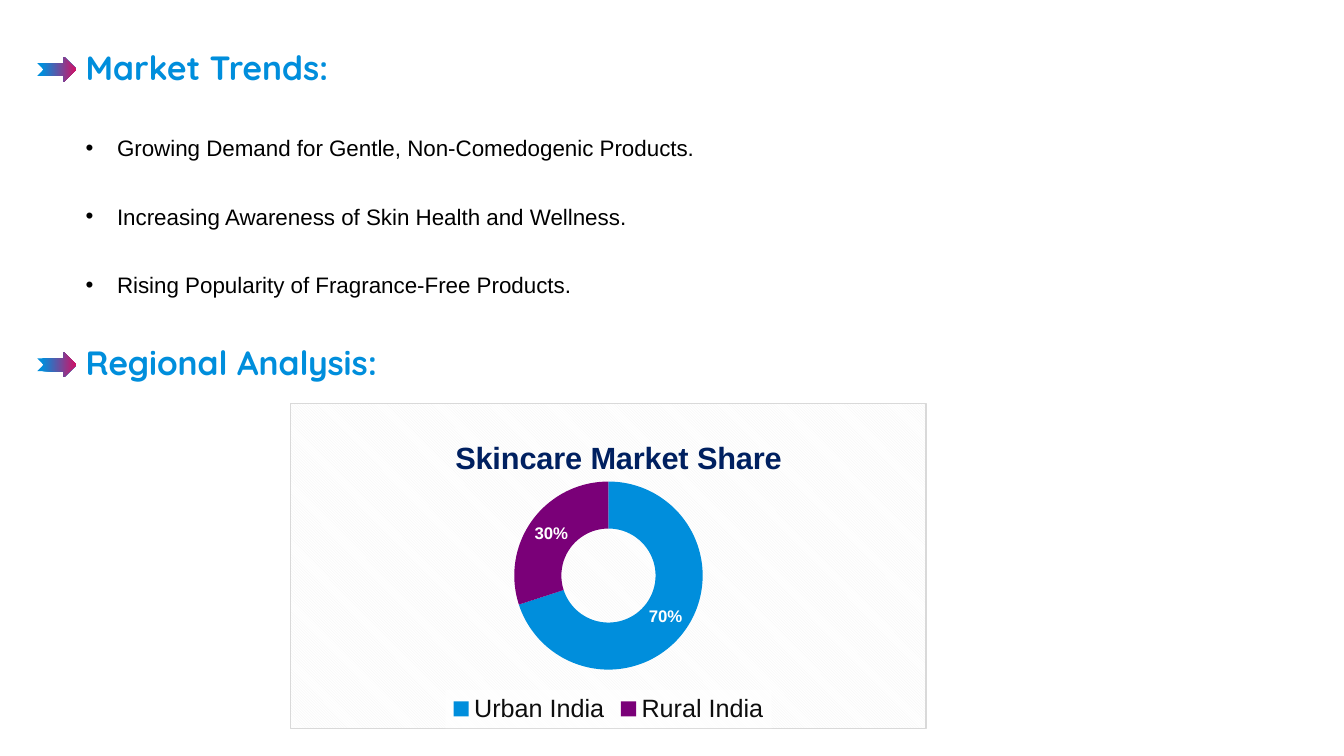
from dataclasses import dataclass

from lxml import etree
from pptx import Presentation
from pptx.chart.data import CategoryChartData
from pptx.dml.color import RGBColor
from pptx.enum.chart import XL_CHART_TYPE, XL_LEGEND_POSITION
from pptx.enum.shapes import MSO_SHAPE
from pptx.enum.text import MSO_ANCHOR
from pptx.oxml import parse_xml
from pptx.oxml.ns import nsdecls, qn
from pptx.util import Cm, Pt


@dataclass(frozen=True)
class Theme:
    """Colours, fonts and type sizes of the slide."""
    blue: str = "008EDC"
    pink: str = "D30F64"
    purple: str = "7A0078"
    navy: str = "002060"
    ink: str = "000000"
    legend_ink: str = "0D0D0D"
    white: str = "FFFFFF"
    hatch: str = "F2F2F2"
    border: str = "D9D9D9"
    heading_font: str = "Quicksand"
    body_font: str = "Arial"
    heading_size: int = 24
    body_size: int = 16
    chart_title_size: int = 22
    legend_size: int = 18
    label_size: int = 12


THEME = Theme()


@dataclass(frozen=True)
class Box:
    """A rectangle in centimetres."""
    left: float
    top: float
    width: float
    height: float

    def lengths(self):
        """Return the four sides as slide lengths."""
        return Cm(self.left), Cm(self.top), Cm(self.width), Cm(self.height)


def style_font(font, name, size, colour=None, bold=False):
    """Set the face, size, weight and optional solid colour of a font."""
    font.name, font.size, font.bold = name, Pt(size), bold
    if colour:
        font.color.rgb = RGBColor.from_string(colour)


def fill_gradient(fill, start=0.0):
    """Fill from blue on the left to pink on the right."""
    fill.gradient()
    fill.gradient_angle = 0
    for stop, colour, position in zip(fill.gradient_stops, (THEME.blue, THEME.pink), (start, 1.0)):
        stop.color.rgb = RGBColor.from_string(colour)
        stop.position = position


def add_heading(slide, box, wording):
    """Place a section heading with its arrow at the left of the box."""
    arrow_box = Box(box.left, box.top + 0.72, 0.99, 0.64)
    arrow = slide.shapes.add_shape(MSO_SHAPE.NOTCHED_RIGHT_ARROW, *arrow_box.lengths())
    arrow.shadow.inherit = False
    fill_gradient(arrow.fill, 0.12)
    arrow.line.fill.background()

    heading_box = Box(box.left + 0.97, box.top, box.width - 0.97, box.height)
    frame = slide.shapes.add_textbox(*heading_box.lengths()).text_frame
    frame.word_wrap = True
    frame.vertical_anchor = MSO_ANCHOR.MIDDLE
    paragraph = frame.paragraphs[0]
    paragraph.line_spacing = 0.9
    run = paragraph.add_run()
    run.text = wording
    style_font(run.font, THEME.heading_font, THEME.heading_size, bold=True)
    fill_gradient(run.font.fill)


def add_trends(slide, box, trends):
    """List the trends as evenly spaced bullets resting on the foot of the box."""
    frame = slide.shapes.add_textbox(*box.lengths()).text_frame
    frame.word_wrap = True
    frame.vertical_anchor = MSO_ANCHOR.BOTTOM
    for index, trend in enumerate(trends):
        paragraph = frame.paragraphs[0] if index == 0 else frame.add_paragraph()
        paragraph.space_before = Pt(29.5 if index else 0)
        properties = paragraph._p.get_or_add_pPr()
        properties.set("marL", str(Cm(0.79)))
        properties.set("indent", str(Cm(-0.79)))
        etree.SubElement(properties, qn("a:buFont")).set("typeface", THEME.body_font)
        etree.SubElement(properties, qn("a:buChar")).set("char", "•")
        run = paragraph.add_run()
        run.text = trend
        style_font(run.font, THEME.body_font, THEME.body_size, THEME.ink)


def manual_layout(target="", **fractions):
    """Build a chart layout from fractions of the chart's size."""
    inner = f'<c:layoutTarget val="{target}"/>' if target else ""
    modes = "".join(f'<c:{side}Mode val="edge"/>' for side in "xy")
    sizes = "".join(f'<c:{key} val="{value}"/>' for key, value in fractions.items())
    return parse_xml(f'<c:layout {nsdecls("c")}><c:manualLayout>{inner}{modes}{sizes}'
                     "</c:manualLayout></c:layout>")


def set_layout(parent, layout, position):
    """Give a chart part its layout in place of any earlier one."""
    for earlier in parent.findall(qn("c:layout")):
        parent.remove(earlier)
    parent.insert(position, layout)


def style_background(chart):
    """Give the chart a hatched ground, a thin border and a white legend."""
    space = chart._chartSpace
    space.find(qn("c:chart")).addnext(parse_xml(
        f'<c:spPr {nsdecls("c", "a")}><a:pattFill prst="dkDnDiag">'
        f'<a:fgClr><a:srgbClr val="{THEME.hatch}"/></a:fgClr>'
        f'<a:bgClr><a:srgbClr val="{THEME.white}"/></a:bgClr></a:pattFill>'
        f'<a:ln w="{Pt(0.75)}"><a:solidFill><a:srgbClr val="{THEME.border}"/>'
        "</a:solidFill></a:ln></c:spPr>"))
    space.find(".//" + qn("c:legend")).find(qn("c:overlay")).addnext(parse_xml(
        f'<c:spPr {nsdecls("c", "a")}><a:solidFill><a:srgbClr val="{THEME.white}">'
        '<a:alpha val="78000"/></a:srgbClr></a:solidFill></c:spPr>'))


def add_market_share(slide, box, title, shares):
    """Draw the market shares as a doughnut filling the box."""
    data = CategoryChartData()
    data.categories = list(shares)
    data.add_series(title, list(shares.values()))
    chart = slide.shapes.add_chart(XL_CHART_TYPE.DOUGHNUT, *box.lengths(), data).chart
    style_font(chart.font, THEME.body_font, 10, THEME.ink)

    chart.has_title = True
    run = chart.chart_title.text_frame.paragraphs[0].add_run()
    run.text = title
    style_font(run.font, THEME.body_font, THEME.chart_title_size, THEME.navy, True)

    chart.has_legend = True
    chart.legend.position = XL_LEGEND_POSITION.BOTTOM
    chart.legend.include_in_layout = False
    style_font(chart.legend.font, THEME.body_font, THEME.legend_size, THEME.legend_ink)

    plot = chart.plots[0]
    plot.vary_by_categories = True
    plot.has_data_labels = True
    labels = plot.data_labels
    labels.show_percentage, labels.show_value = True, False
    labels.number_format, labels.number_format_is_linked = "0%", False
    style_font(labels.font, THEME.body_font, THEME.label_size, THEME.white, True)
    for index, colour in enumerate((THEME.blue, THEME.purple)):
        fill = plot.series[0].points[index].format.fill
        fill.solid()
        fill.fore_color.rgb = RGBColor.from_string(colour)

    space = chart._chartSpace
    space.find(".//" + qn("c:holeSize")).set("val", "70")
    set_layout(space.find(".//" + qn("c:title")), manual_layout(x=0.25, y=0.09), 1)
    set_layout(space.find(".//" + qn("c:plotArea")),
               manual_layout("inner", x=0.35, y=0.24, w=0.3, h=0.58), 0)
    style_background(chart)


def build_market_slide(presentation):
    """Compose the market trends and regional analysis slide."""
    slide = presentation.slides.add_slide(presentation.slide_layouts[6])
    for top, wording in ((0.71, "Market Trends:"), (8.15, "Regional Analysis:")):
        add_heading(slide, Box(0.94, top, 9.86, 2.08), wording)
    add_trends(slide, Box(1.91, 1.55, 16.56, 6.08), (
        "Growing Demand for Gentle, Non-Comedogenic Products.",
        "Increasing Awareness of Skin Health and Wellness.",
        "Rising Popularity of Fragrance-Free Products.",
    ))
    add_market_share(slide, Box(7.32, 10.16, 16.03, 8.2), "Skincare Market Share",
                     {"Urban India": 70, "Rural India": 30})


def main():
    """Build and save the presentation."""
    presentation = Presentation()
    presentation.slide_width, presentation.slide_height = Cm(33.87), Cm(19.05)
    build_market_slide(presentation)
    presentation.save("out.pptx")


if __name__ == "__main__":
    main()
